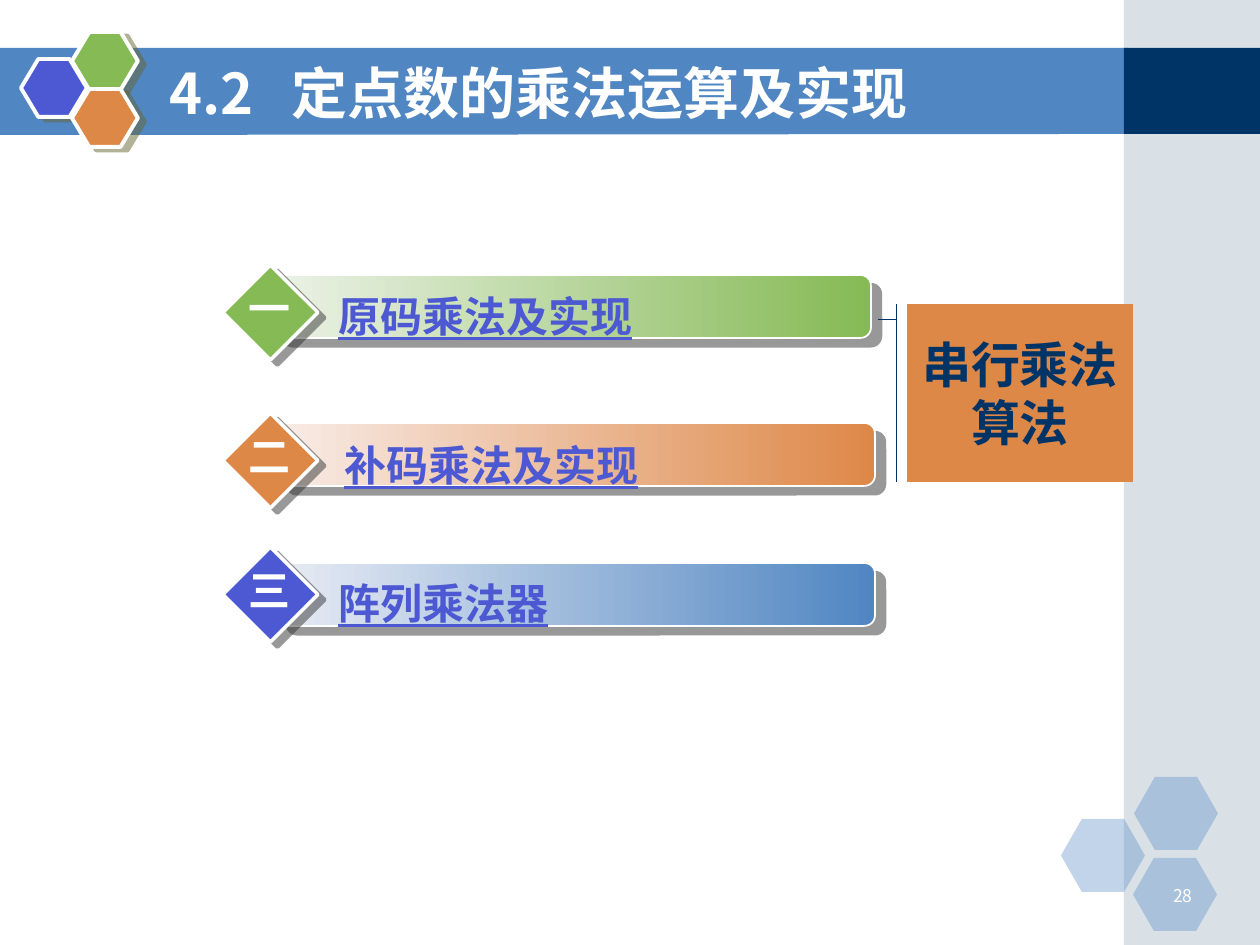
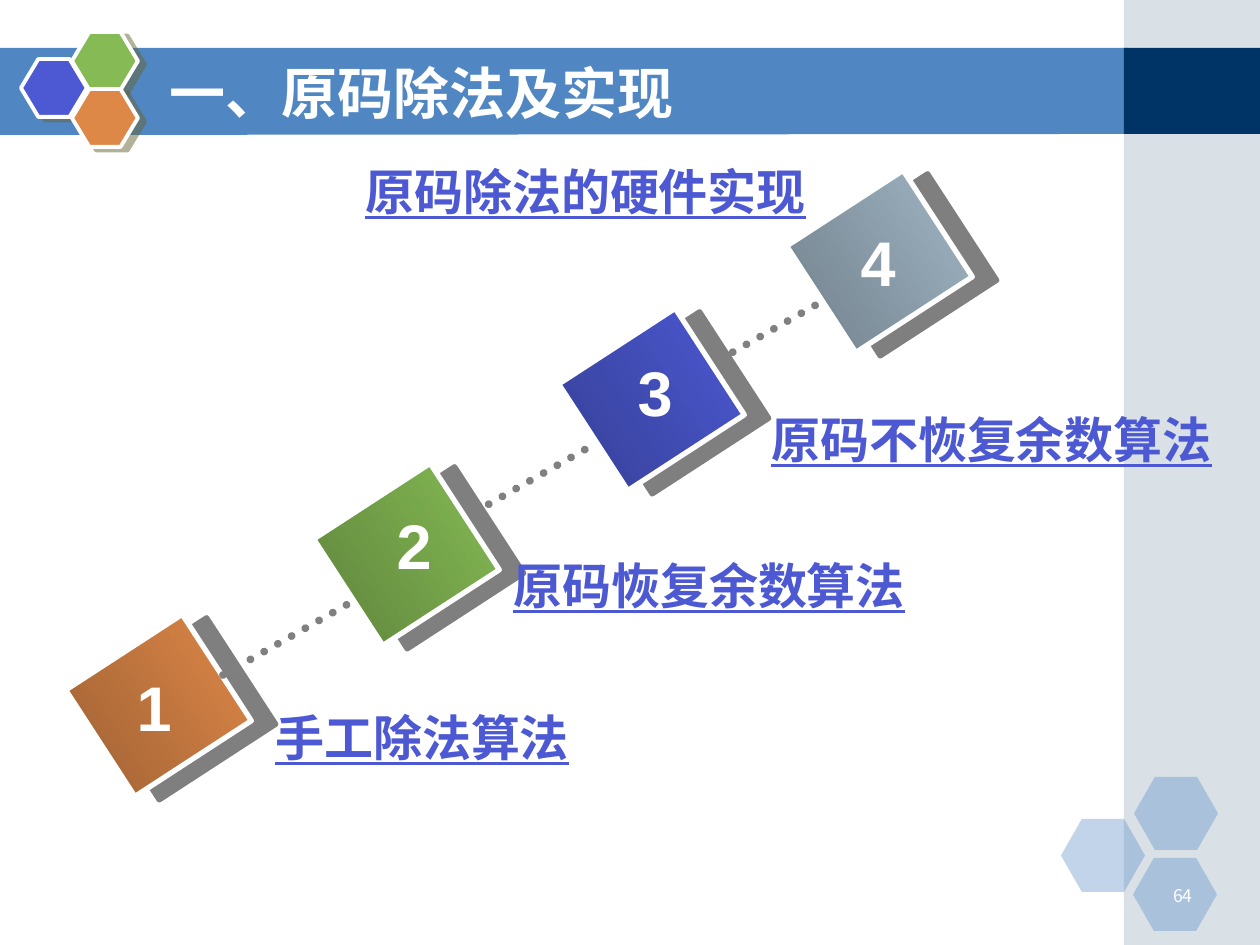
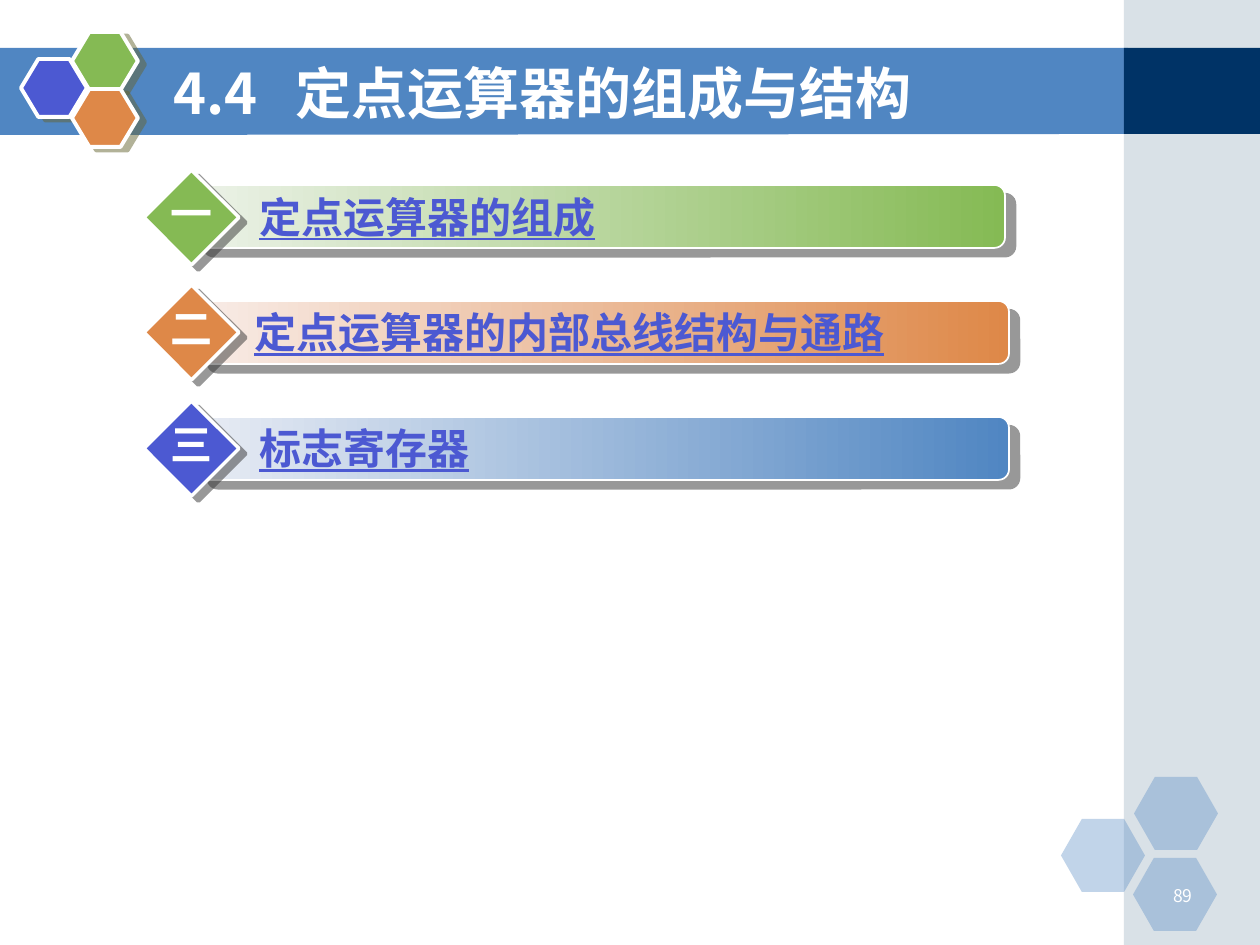
from dataclasses import dataclass

from lxml.etree import SubElement
from pptx import Presentation
from pptx.dml.color import RGBColor
from pptx.enum.dml import MSO_LINE
from pptx.enum.shapes import MSO_CONNECTOR, MSO_SHAPE as SHAPE
from pptx.enum.text import MSO_ANCHOR as ANCHOR, MSO_AUTO_SIZE as FIT, PP_ALIGN as ALIGN
from pptx.oxml.ns import qn
from pptx.util import Emu, Pt

EMU_PER_PX = 914400 / 126


@dataclass(frozen=True)
class Theme:
    white: str = "FFFFFF"
    navy: str = "003366"
    blue: str = "5086C2"
    mist: str = "A0B5C4"
    green: str = "85BA54"
    orange: str = "DE8848"
    violet: str = "4C59D2"
    dots: str = "808080"
    cjk: str = "Noto Sans CJK SC"
    latin: str = "Arial"
    title: int = 32
    step: int = 36
    label: int = 28
    item: int = 24
    page: int = 10


T = Theme()

# Shadows: colour, distance in points, direction in degrees
BADGE_SHADOW = ("666633", 4.5, 27)
BAR_SHADOW = ("333333", 7.8, 40)
DIAMOND_SHADOW = ("333333", 5, 37)
STEP_SHADOW = ("000000", 14.1, 8)

# Outline levels: numeral, diamond colour, bar gradient
LEVELS = [
    ("一", T.green, ("ECF2E8", T.green)),
    ("二", T.orange, ("F8ECE7", T.orange)),
    ("三", T.violet, ("E8ECF4", T.blue)),
]


def px(length):
    return Emu(round(length * EMU_PER_PX))


def rgb(value):
    return RGBColor.from_string(value)


def set_alpha(color, percent):
    SubElement(color, qn("a:alpha"), val=str(percent * 1000))


# Text
def write(frame, text, *, size, color, font=T.cjk, bold=True, underline=False,
          align=ALIGN.LEFT, anchor=ANCHOR.TOP, wrap=True, fit=FIT.NONE, tab=None):
    frame.word_wrap = wrap
    frame.auto_size = fit
    frame.vertical_anchor = anchor
    paragraph = frame.paragraphs[0]
    paragraph.alignment = align
    if tab:
        tabs = SubElement(paragraph._p.get_or_add_pPr(), qn("a:tabLst"))
        SubElement(tabs, qn("a:tab"), pos=str(px(tab)), algn="l")
    run = paragraph.add_run()
    run.text = text
    run.font.size = Pt(size)
    run.font.bold = bold
    if underline:
        run.font.underline = True
    run.font.color.rgb = rgb(color)
    run.font.name = font
    SubElement(run._r.get_or_add_rPr(), qn("a:ea"), typeface=T.cjk)


def add_text(slide, text, left, top, width, height, **style):
    box = slide.shapes.add_textbox(px(left), px(top), px(width), px(height))
    write(box.text_frame, text, **style)


def add_link_text(slide, text, left, top, width, height, **style):
    add_text(slide, text, left, top, width, height, color=T.violet,
             underline=True, fit=FIT.SHAPE_TO_FIT_TEXT, **style)


# Shapes
def paint(shape, fill, *, alpha=None, angle=0, line=None, shadow=None):
    """Fill is one colour or a pair for a gradient; line is (colour, points)."""
    if isinstance(fill, tuple):
        shape.fill.gradient()
        shape.fill.gradient_angle = (360 - angle) % 360
        for stop, color in zip(shape.fill.gradient_stops, fill):
            stop.color.rgb = rgb(color)
    else:
        shape.fill.solid()
        shape.fill.fore_color.rgb = rgb(fill)
    properties = shape.element.spPr
    if alpha:
        set_alpha(properties.find(f"{qn('a:solidFill')}/{qn('a:srgbClr')}"), alpha)
    if line:
        shape.line.color.rgb = rgb(line[0])
        shape.line.width = Pt(line[1])
    else:
        shape.line.fill.background()
    shape.shadow.inherit = False
    if shadow:
        color, distance, direction = shadow
        outer = SubElement(properties.find(qn("a:effectLst")), qn("a:outerShdw"),
                           dist=str(Pt(distance)), dir=str(direction * 60000),
                           algn="ctr", rotWithShape="0")
        set_alpha(SubElement(outer, qn("a:srgbClr"), val=color), 50)


def add_figure(slide, kind, left, top, width, height, fill, *, adjust=(), **look):
    figure = slide.shapes.add_shape(kind, px(left), px(top), px(width), px(height))
    for index, value in enumerate(adjust):
        figure.adjustments[index] = value
    paint(figure, fill, **look)
    return figure


def add_dotted_line(slide, left, top, right, bottom):
    link = slide.shapes.add_connector(
        MSO_CONNECTOR.STRAIGHT, px(left), px(top), px(right), px(bottom))
    link.line.color.rgb = rgb(T.dots)
    link.line.width = Pt(4.5)
    link.line.dash_style = MSO_LINE.ROUND_DOT
    link.line._get_or_add_ln().set("cap", "rnd")
    SubElement(link.element.spPr, qn("a:effectLst"))


# Shared frame: title band, side column and hexagons, kept in the layout
def build_frame(slide, layout):
    band = slide.shapes.build_freeform(-1, 48, scale=EMU_PER_PX)
    band.add_line_segments([(1128, 48), (1128, 134), (-1, 135)], close=True)
    paint(band.convert_to_shape(), T.blue)
    add_figure(slide, SHAPE.RECTANGLE, 1124, 0, 136, 945, T.mist, alpha=40)
    add_figure(slide, SHAPE.RECTANGLE, 1124, 48, 136, 86, T.navy)
    for left, top in [(1061, 819), (1134, 777), (1133, 858)]:
        add_figure(slide, SHAPE.HEXAGON, left, top, 84, 73, T.blue,
                   adjust=[0.286], alpha=35)
    for left, top, color in [(21, 59, T.violet), (72, 32, T.green), (72, 89, T.orange)]:
        add_figure(slide, SHAPE.HEXAGON, left, top, 66, 58, color, adjust=[0.3],
                   line=(T.white, 2.25), shadow=BADGE_SHADOW)
    for part in list(slide.shapes):
        if not part.is_placeholder:
            layout.shapes.element.append(part.element)


def set_heading(slide, text, page, left=157):
    add_text(slide, page, 1142, 879, 63, 32, size=T.page, color=T.white,
             bold=False, align=ALIGN.RIGHT)
    title = slide.shapes.title
    title.left, title.top, title.width, title.height = map(px, (left, 53, 923, 78))
    write(title.text_frame, text, size=T.title, color=T.white,
          anchor=ANCHOR.MIDDLE, tab=122)


# Outline rows: a gradient bar with its entry and a numbered diamond
@dataclass
class Entry:
    text: str
    bar_left: int
    bar_top: int
    text_left: int
    text_top: int
    diamond_top: int


def add_outline(slide, entries, *, diamond_left, bar_width, text_width):
    for entry, (numeral, accent, gradient) in zip(entries, LEVELS):
        add_figure(slide, SHAPE.ROUNDED_RECTANGLE, entry.bar_left, entry.bar_top,
                   bar_width, 63, gradient, adjust=[0.167],
                   line=(T.white, 1), shadow=BAR_SHADOW)
        add_link_text(slide, entry.text, entry.text_left, entry.text_top,
                      text_width, 63, size=T.item)
        add_figure(slide, SHAPE.DIAMOND, diamond_left, entry.diamond_top, 95, 95,
                   accent, line=(T.white, 2), shadow=DIAMOND_SHADOW)
        add_text(slide, numeral, diamond_left + 13, entry.diamond_top + 11, 68, 63,
                 size=T.item, color=T.white, align=ALIGN.CENTER, wrap=False,
                 fit=FIT.SHAPE_TO_FIT_TEXT)


# Staircase: tilted squares with a number and a label
@dataclass
class Step:
    label: str
    square: tuple
    number: tuple
    label_at: tuple
    label_width: int
    gradient: tuple


def add_step(slide, number, step):
    left, top = step.square
    square = add_figure(slide, SHAPE.RECTANGLE, left, top, 127, 139, step.gradient,
                        angle=90, line=(T.white, 3), shadow=STEP_SHADOW)
    square.rotation = 57
    center, number_top = step.number
    add_text(slide, str(number), center - 40, number_top, 80, 88, size=T.step,
             color=T.white, font=T.latin, align=ALIGN.CENTER,
             fit=FIT.SHAPE_TO_FIT_TEXT)
    add_link_text(slide, step.label, *step.label_at, step.label_width, 72,
                  size=T.label, font=T.latin)


# Slides
def build_multiplication(slide):
    set_heading(slide, "4.2\t定点数的乘法运算及实现", "28")
    add_outline(slide, [
        Entry("原码乘法及实现", 272, 275, 326, 284, 265),
        Entry("补码乘法及实现", 276, 423, 332, 433, 413),
        Entry("阵列乘法器", 276, 563, 326, 571, 547),
    ], diamond_left=223, bar_width=599, text_width=522)
    callout = add_figure(slide, SHAPE.LINE_CALLOUT_2_ACCENT_BAR, 907, 304, 226, 178,
                         T.orange, line=(T.navy, 0.75),
                         adjust=[0.088, -0.047, 0.088, -0.084, 0.088, -0.129])
    write(callout.text_frame, "串行乘法算法", size=T.label, color=T.navy,
          font=T.latin, align=ALIGN.CENTER, anchor=ANCHOR.MIDDLE)


def build_division(slide):
    set_heading(slide, "一、原码除法及实现", "64")
    steps = [
        Step("手工除法算法", (95, 636), (154, 662), (263, 701), 328,
             (T.orange, "9F6134")),
        Step("原码恢复余数算法", (343, 485), (414, 500), (501, 549), 437,
             (T.green, "5F853C")),
        Step("原码不恢复余数算法", (588, 330), (655, 347), (759, 403), 471,
             (T.violet, "364096")),
        Step("原码除法的硬件实现", (816, 192), (878, 217), (353, 155), 471,
             (T.mist, "72818C")),
    ]
    link_starts = [None, (223, 675), (475, 512), (719, 360)]
    for number, (step, start) in enumerate(zip(steps, link_starts), start=1):
        if start:
            left, top = start
            add_dotted_line(slide, left, top, left + 148, top - 84)
        add_step(slide, number, step)


def build_arithmetic_unit(slide):
    set_heading(slide, "4.4\t定点运算器的组成与结构", "89", left=161)
    add_outline(slide, [
        Entry("定点运算器的组成", 193, 185, 247, 185, 170),
        Entry("定点运算器的内部总线结构与通路", 197, 301, 242, 300, 285),
        Entry("标志寄存器", 197, 417, 247, 416, 401),
    ], diamond_left=144, bar_width=812, text_width=790)


def main():
    deck = Presentation()
    deck.slide_width, deck.slide_height = px(1260), px(945)
    layout = deck.slide_layouts[5]
    builders = [build_multiplication, build_division, build_arithmetic_unit]
    slides = [deck.slides.add_slide(layout) for _ in builders]
    build_frame(slides[0], layout)
    for build, slide in zip(builders, slides):
        build(slide)
    deck.save("out.pptx")


if __name__ == "__main__":
    main()
